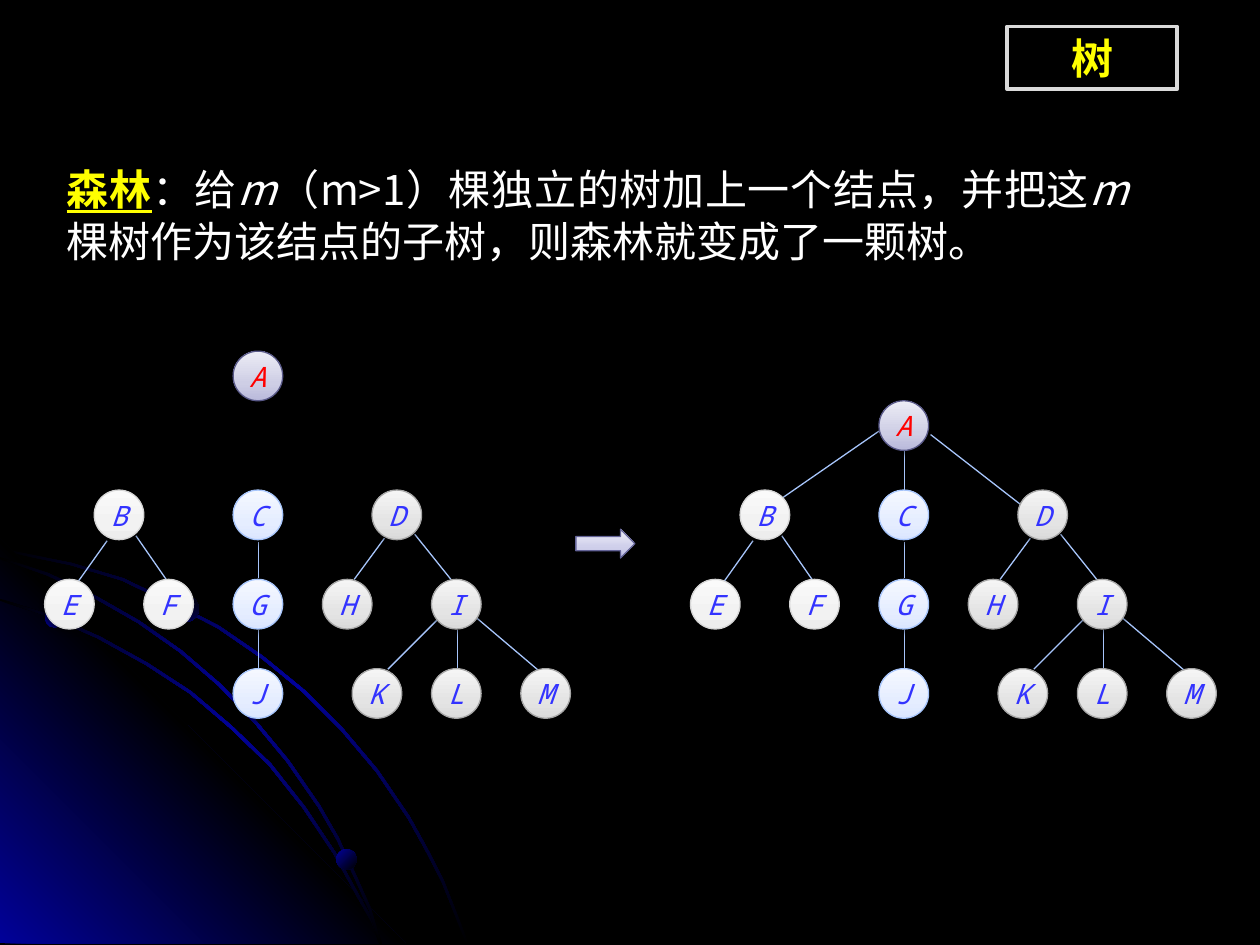
from lxml.etree import SubElement as Sub
from pptx import Presentation
from pptx.dml.color import RGBColor
from pptx.enum.shapes import MSO_CONNECTOR as Link, MSO_SHAPE as Form
from pptx.enum.text import MSO_ANCHOR as Anchor, MSO_AUTO_SIZE as Fit, PP_ALIGN as Align
from pptx.oxml.ns import qn
from pptx.util import Cm, Pt

SANS, MONO, SERIF = "Noto Sans CJK SC", "Noto Sans Mono", "Times New Roman"
TITLE = "树"
BODY = [
    ("森林", "term"),
    ("：给", ""),
    ("m", "var"),
    ("（m>1）棵独立的树加上一个结点，并把这", ""),
    ("m", "var"),
    ("棵树作为该结点的子树，则森林就变成了一颗树。", ""),
]

BLUE, BLACK, EDGE = "010199", "000000", "A7C5FB"
GLOW = [(0, BLACK), (50, BLUE), (100, BLACK)]
CORNER = [(0, BLUE), (50, BLACK), (100, BLUE)]
BALL = [(0, BLUE), (100, BLACK)]
ARROW = [(0, "B9B9E2"), (35, "CECEEA"), (100, "ECECF7")]
STYLES = {
    "root": ([(0, "B9B9DB"), (35, "CECEE5"), (100, "ECECF5")], "595988", "FF0000"),
    "white": ([(0, "EDEDED"), (35, "F2F2F2"), (100, "FAFAFA")], "D5D5D5", "3333FF"),
    "blue": ([(0, "DBE6FF"), (35, "E5EDFF"), (100, "F5F8FF")], EDGE, "3333FF"),
    "grey": ([(0, "DADADA"), (35, "E4E4E4"), (100, "F5F5F5")], "A6A6A6", "3333FF"),
}

SIZE, TOP, STEP, SHIFT = 1, 9.88, 1.8, 13.02
NODES = [
    ("B", 1.9, 0, "white"), ("C", 4.7, 0, "blue"), ("D", 7.5, 0, "grey"),
    ("E", 0.9, 1, "white"), ("F", 2.9, 1, "white"), ("G", 4.7, 1, "blue"),
    ("J", 4.7, 2, "blue"), ("H", 6.5, 1, "grey"), ("I", 8.7, 1, "grey"),
    ("K", 7.1, 2, "grey"), ("L", 8.7, 2, "grey"), ("M", 10.5, 2, "grey"),
]
EDGES = [
    (2.16, 10.9, 1.57, 11.73), (2.74, 10.8, 3.35, 11.68),
    (5.21, 10.92, 5.21, 11.66), (5.21, 12.7, 5.21, 13.49),
    (7.75, 10.85, 7.14, 11.68), (8.36, 10.77, 9.09, 11.68),
    (8.81, 12.5, 7.82, 13.49), (9.22, 12.7, 9.22, 13.49),
    (9.6, 12.45, 10.85, 13.51),
]
JOINS = [(4.7, 8.69, 2.69, 10.08), (5.21, 9.09, 5.21, 9.88), (5.74, 8.76, 7.54, 10.16)]

WEDGE = [(8.18, 19.02), (0, 19.02), (0, 10.85)]
ARCS = [
    [(0, 11.05), (0.71, 11.2), (1.45, 11.35), (2.49, 11.66), (3.45, 12.12),
     (4.42, 12.62), (5.31, 13.23), (6.15, 13.92), (6.91, 14.68), (7.62, 15.52),
     (8.26, 16.46), (8.61, 17.09), (8.94, 17.73), (9.19, 18.36), (9.45, 19.02)],
    [(0, 12.07), (1.04, 12.4), (2.01, 12.83), (2.97, 13.36), (3.86, 13.94),
     (4.67, 14.63), (5.46, 15.39), (6.15, 16.26), (6.76, 17.17), (7.26, 18.08),
     (7.52, 18.54), (7.7, 19.02)],
    [(0, 11.23), (0.99, 11.56), (1.93, 12.01), (2.82, 12.52), (3.66, 13.11),
     (4.45, 13.79), (5.18, 14.55), (5.82, 15.32), (6.45, 16.23), (6.83, 16.89),
     (7.16, 17.6), (7.47, 18.29), (7.7, 19.02)],
]
BALLS = [(0.91, 12.27, 0.38, 45), (6.78, 17.12, 0.41, 315), (3.48, 12.01, 0.53, 45)]


def rgb(code):
    return RGBColor.from_string(code)


def shade(shape, stops, angle):
    shape.fill.gradient()
    shape.fill.gradient_angle = angle
    rail = shape._element.spPr.find(qn("a:gradFill")).find(qn("a:gsLst"))
    rail.clear()
    for pos, code in stops:
        stop = Sub(rail, qn("a:gs"), pos=str(pos * 1000))
        Sub(stop, qn("a:srgbClr"), val=code)
    shape.shadow.inherit = False


def stroke(shape, code, width=0.75):
    shape.line.color.rgb = rgb(code)
    shape.line.width = Pt(width)


def cast(shape):
    effects = shape._element.spPr.find(qn("a:effectLst"))
    drop = Sub(effects, qn("a:outerShdw"), blurRad=str(Pt(3.1)),
               dist=str(Pt(1.6)), dir="5400000", rotWithShape="0")
    Sub(Sub(drop, qn("a:srgbClr"), val=BLACK), qn("a:alpha"), val="38000")


def style(run, face, size, code, bold=False, italic=False, under=False):
    font = run.font
    font.name, font.size, font.color.rgb = face, Pt(size), rgb(code)
    font.bold, font.italic, font.underline = bold, italic, under
    if face == SANS:
        Sub(run._r.rPr, qn("a:ea"), typeface=face)


def place(shape, left, top, width, height):
    shape.left, shape.top = Cm(left), Cm(top)
    shape.width, shape.height = Cm(width), Cm(height)


def outline(shapes, points, stops, angle):
    spots = [(Cm(x), Cm(y)) for x, y in points]
    pen = shapes.build_freeform(*spots[0])
    pen.add_line_segments(spots[1:], close=True)
    shape = pen.convert_to_shape()
    shade(shape, stops, angle)
    shape.line.fill.background()


def ribbon(points):
    return points + [(max(0, x - 0.04), y + 0.04) for x, y in reversed(points)]


def node(shapes, name, left, top, kind):
    stops, edge, ink = STYLES[kind]
    disc = shapes.add_shape(Form.OVAL, Cm(left), Cm(top), Cm(SIZE), Cm(SIZE))
    shade(disc, stops, 90)
    stroke(disc, edge)
    cast(disc)
    frame = disc.text_frame
    frame.text = name
    frame.word_wrap = False
    frame.vertical_anchor = Anchor.MIDDLE
    frame.paragraphs[0].alignment = Align.CENTER
    style(frame.paragraphs[0].runs[0], MONO, 16, ink, italic=True)


def tree(shapes, shift, peak, edges):
    for x1, y1, x2, y2 in edges:
        line = shapes.add_connector(Link.STRAIGHT, Cm(x1 + shift), Cm(y1),
                                    Cm(x2 + shift), Cm(y2))
        stroke(line, EDGE)
        Sub(line._element.spPr, qn("a:effectLst"))
    node(shapes, "A", 4.7 + shift, peak, "root")
    for name, left, row, kind in NODES:
        node(shapes, name, left + shift, TOP + row * STEP, kind)


def scene(shapes):
    outline(shapes, ribbon(ARCS[0]), GLOW, 315)
    outline(shapes, WEDGE, CORNER, 45)
    for arc in ARCS[1:]:
        outline(shapes, ribbon(arc), GLOW, 315)
    for left, top, size, angle in BALLS:
        ball = shapes.add_shape(Form.OVAL, Cm(left), Cm(top), Cm(size), Cm(size))
        shade(ball, BALL, angle)
        ball.line.fill.background()


def words(slide):
    title, body = slide.placeholders
    place(title, 20.3, 0.53, 3.43, 1.27)
    stroke(title, "DADADA", 2)
    title.text_frame.text = TITLE
    title.text_frame.auto_size = Fit.NONE
    title.text_frame.vertical_anchor = Anchor.MIDDLE
    head = title.text_frame.paragraphs[0]
    head.alignment = Align.CENTER
    style(head.runs[0], SERIF, 24, "FFFF00", bold=True)

    place(body, 1.09, 3.12, 21.92, 2.39)
    body.text_frame.auto_size = Fit.NONE
    para = body.text_frame.paragraphs[0]
    para.alignment = Align.JUSTIFY
    para.line_spacing, para.space_before = Pt(30), Pt(0)
    props = para._p.get_or_add_pPr()
    props.set("marL", "0")
    props.set("indent", "0")
    Sub(props, qn("a:buNone"))
    for text, role in BODY:
        run = para.add_run()
        run.text = text
        term = role == "term"
        style(run, SANS, 24, "FFFF00" if term else "FFFFFF",
              bold=term, italic=role == "var", under=term)


def main():
    deck = Presentation()
    deck.slide_width, deck.slide_height = Cm(25.4), Cm(19.05)
    slide = deck.slides.add_slide(deck.slide_layouts[1])
    slide.background.fill.solid()
    slide.background.fill.fore_color.rgb = rgb(BLACK)
    shapes = slide.shapes
    words(slide)
    scene(shapes.add_group_shape().shapes)
    tree(shapes, 0, 7.08, EDGES)
    tree(shapes.add_group_shape().shapes, SHIFT, TOP - STEP, JOINS + EDGES)
    arrow = shapes.add_shape(Form.RIGHT_ARROW, Cm(11.61), Cm(10.67), Cm(1.19), Cm(0.58))
    shade(arrow, ARROW, 90)
    stroke(arrow, "636397")
    cast(arrow)
    deck.save("out.pptx")


if __name__ == "__main__":
    main()
